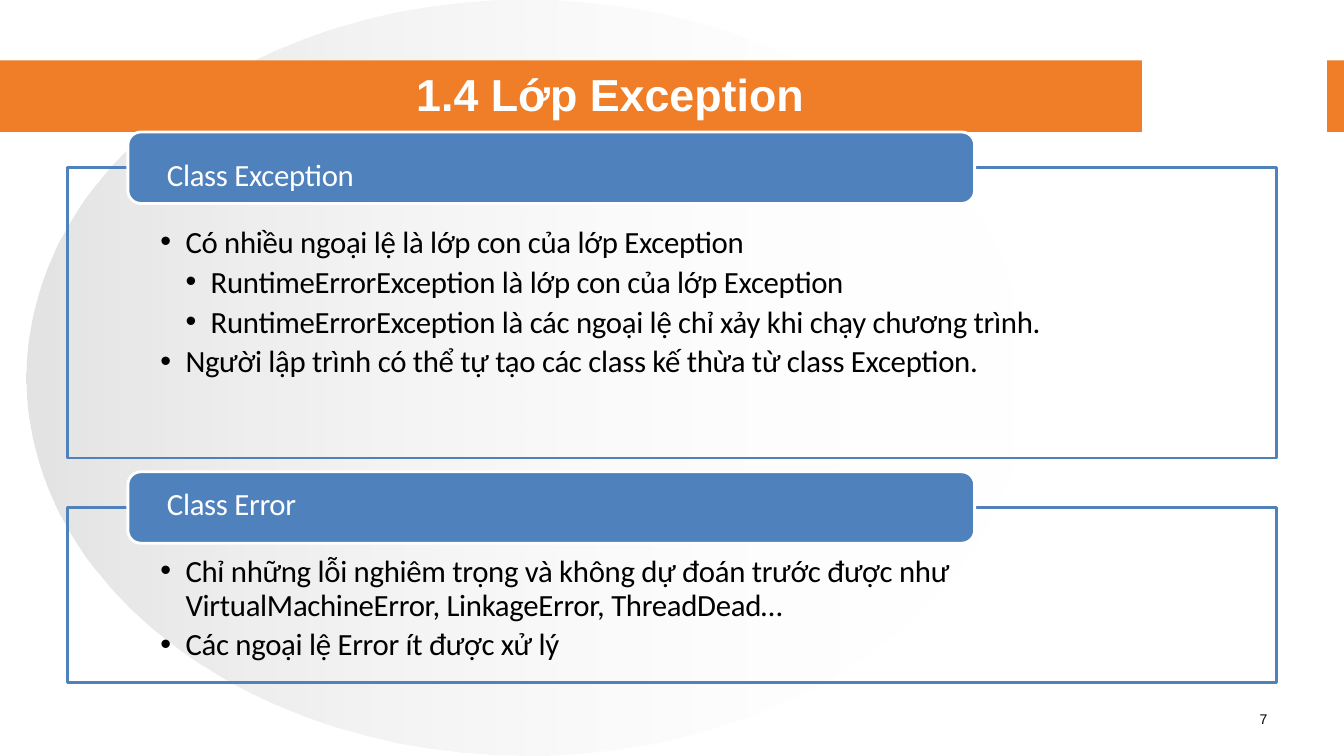
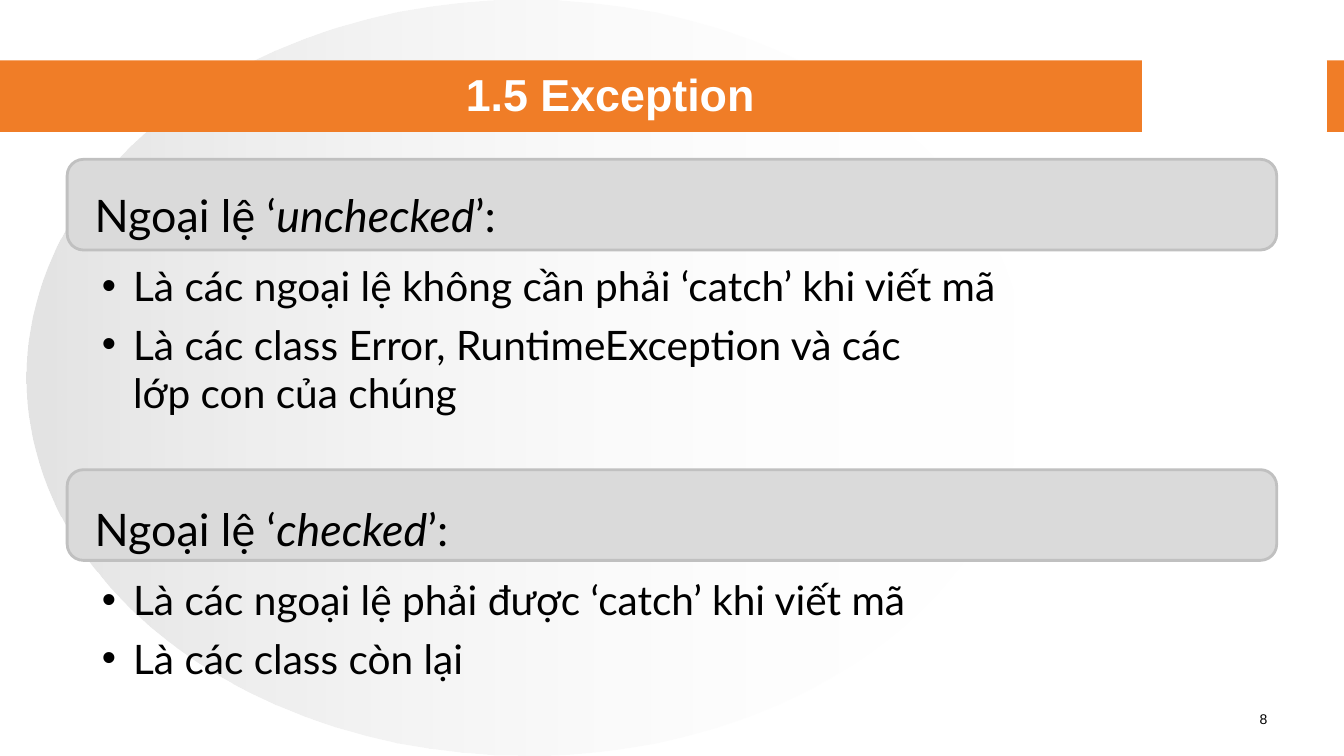
from lxml import etree
from pptx import Presentation
from pptx.dml.color import RGBColor
from pptx.enum.shapes import MSO_SHAPE
from pptx.enum.text import MSO_ANCHOR, MSO_AUTO_SIZE, PP_ALIGN
from pptx.oxml.ns import qn
from pptx.util import Pt

ORANGE = RGBColor(0xF0, 0x7D, 0x27)
BLUE = RGBColor(0x4F, 0x81, 0xBD)
SILVER = RGBColor(0xC0, 0xC0, 0xC0)
LIGHT_GRAY = RGBColor(0xDA, 0xDA, 0xDA)
WHITE = RGBColor(0xFF, 0xFF, 0xFF)
BLACK = RGBColor(0, 0, 0)
RECTANGLE, ROUNDED, OVAL = MSO_SHAPE.RECTANGLE, MSO_SHAPE.ROUNDED_RECTANGLE, MSO_SHAPE.OVAL
TOP, MIDDLE = MSO_ANCHOR.TOP, MSO_ANCHOR.MIDDLE
LEFT, CENTER = PP_ALIGN.LEFT, PP_ALIGN.CENTER
NO_AUTOSIZE = MSO_AUTO_SIZE.NONE
TWO_CONTENT = 3
FRAME_LEFT, FRAME_WIDTH = 48, 864

# Each section: heading top, heading text inset, frame height, list top, list height,
# heading runs (odd ones italic), list items as (level, text).
SLIDES = [
    {
        "title": "1.4 Lớp Exception", "number": "7", "font": "Calibri", "spacing": -0.2,
        "heading": {"left": 91.4, "width": 604.8, "height": 51, "inset": 25.2, "size": 22,
                    "fill": BLUE, "line": WHITE, "text": WHITE},
        "list": {"left": 113.8, "width": 716, "size": 22, "line": 24.2, "gap": 4.2,
                 "margins": (18.7, 36.7), "hanging": 18},
        "sections": [
            (94.3, 14.4, 207.4, 161.3, 130, ["Class Exception"], [
                (0, "Có nhiều ngoại lệ là lớp con của lớp Exception"),
                (1, "RuntimeErrorException là lớp con của lớp Exception"),
                (1, "RuntimeErrorException là các ngoại lệ chỉ xảy khi chạy chương trình."),
                (0, "Người lập trình có thể tự tạo các class kế thừa từ class Exception."),
            ]),
            (337, 6.3, 125.3, 396, 82, ["Class Error"], [
                (0, "Chỉ những lỗi nghiêm trọng và không dự đoán trước được như "
                    "VirtualMachineError, LinkageError, ThreadDead…"),
                (0, "Các ngoại lệ Error ít được xử lý"),
            ]),
        ],
    },
    {
        "title": "1.5 Exception", "number": "8", "font": "Lato", "spacing": 0,
        "heading": {"left": FRAME_LEFT, "width": FRAME_WIDTH, "height": 64.8, "inset": 16.2,
                    "size": 32, "fill": LIGHT_GRAY, "line": SILVER, "text": BLACK},
        "list": {"left": 63.4, "width": 816, "size": 29, "line": 34.8, "gap": 7,
                 "margins": (31.7,), "hanging": 22.3},
        "sections": [
            (113.8, 17.2, None, 186.5, 115, ["Ngoại lệ ‘", "unchecked", "’:"], [
                (0, "Là các ngoại lệ không cần phải ‘catch’ khi viết mã"),
                (0, "Là các class Error, RuntimeException và các\vlớp con của chúng"),
            ]),
            (335.5, 19.8, None, 410.8, 80, ["Ngoại lệ ‘", "checked", "’:"], [
                (0, "Là các ngoại lệ phải được ‘catch’ khi viết mã"),
                (0, "Là các class còn lại"),
            ]),
        ],
    },
]


def add_box(slide, preset, left, top, width, height, fill=None, line=None, line_width=2):
    shape = slide.shapes.add_shape(preset, Pt(left), Pt(top), Pt(width), Pt(height))
    shape.shadow.inherit = False
    if fill is None:
        shape.fill.background()
    else:
        shape.fill.solid()
        shape.fill.fore_color.rgb = fill
    if line is None:
        shape.line.fill.background()
    else:
        shape.line.color.rgb = line
        shape.line.width = Pt(line_width)
    return shape


def format_text(text_frame, font, size, color, spacing=0, align=LEFT, anchor=TOP, bold=None):
    text_frame.word_wrap = True
    text_frame.auto_size = NO_AUTOSIZE
    text_frame.vertical_anchor = anchor
    text_frame.margin_left = text_frame.margin_right = 0
    text_frame.margin_top = text_frame.margin_bottom = 0
    for paragraph in text_frame.paragraphs:
        paragraph.alignment = align
        for run in paragraph.runs:
            run.font.name = font
            run.font.size = Pt(size)
            run.font.bold = bold
            run.font.color.rgb = color
            if spacing:
                run.font._element.set("spc", str(round(spacing * 100)))


presentation = Presentation()
presentation.slide_width, presentation.slide_height = Pt(960), Pt(540)
layout = presentation.slide_layouts[TWO_CONTENT]
slides = [presentation.slides.add_slide(layout) for _ in SLIDES]

# Backdrop shared through the slide master
circle = add_box(slides[0], OVAL, 18.7, 0, 714.2, 540)
circle.fill.gradient()
circle.fill.gradient_angle = 0
for stop, color, alpha in zip(circle.fill.gradient_stops, (SILVER, WHITE), (44000, 0)):
    stop.color.rgb = color
    color_element = stop._gs.find(qn("a:srgbClr"))
    etree.SubElement(color_element, qn("a:alpha")).set("val", str(alpha))
band = add_box(slides[0], RECTANGLE, 0, 43.2, 960, 51, ORANGE)
band_gap = add_box(slides[0], RECTANGLE, 815.8, 43.2, 131.8, 51, WHITE, WHITE, 0.75)
master_tree = presentation.slide_master.shapes.element
for position, shape in enumerate((circle, band, band_gap)):
    shape.element.find(".//" + qn("p:cNvPr")).set("id", str(100 + position))
    master_tree.insert(2 + position, shape.element)

for slide, content in zip(slides, SLIDES):
    title = slide.shapes.title
    title.left, title.top, title.width, title.height = Pt(120), Pt(48), Pt(632), Pt(38)
    title.text_frame.text = content["title"]
    format_text(title.text_frame, "Arial", 32, WHITE, align=CENTER, anchor=MIDDLE, bold=True)

    heading_style, list_style = content["heading"], content["list"]
    font, spacing = content["font"], content["spacing"]
    for index, section in enumerate(content["sections"], start=1):
        top, text_inset, frame_height, list_top, list_height, heading_runs, items = section
        height = heading_style["height"]
        if frame_height:
            add_box(slide, RECTANGLE, FRAME_LEFT, top + height / 2, FRAME_WIDTH, frame_height,
                    line=BLUE)
        heading = add_box(slide, ROUNDED, heading_style["left"], top, heading_style["width"],
                          height, heading_style["fill"], heading_style["line"])
        heading.adjustments[0] = 0.18
        paragraph = heading.text_frame.paragraphs[0]
        for position, text in enumerate(heading_runs):
            run = paragraph.add_run()
            run.text = text
            run.font.italic = position % 2 == 1
        format_text(heading.text_frame, font, heading_style["size"], heading_style["text"], spacing)
        heading.text_frame.margin_left = Pt(heading_style["inset"])
        heading.text_frame.margin_top = Pt(text_inset)

        body = slide.placeholders[index]
        body.left, body.top = Pt(list_style["left"]), Pt(list_top)
        body.width, body.height = Pt(list_style["width"]), Pt(list_height)
        body.text_frame.text = "\n".join(text for _, text in items)
        for position, (level, _) in enumerate(items):
            paragraph = body.text_frame.paragraphs[position]
            paragraph.level = level
            properties = paragraph._p.get_or_add_pPr()
            properties.set("marL", str(Pt(list_style["margins"][level])))
            properties.set("indent", str(-Pt(list_style["hanging"])))
            etree.SubElement(properties, qn("a:buFont")).set("typeface", "Arial")
            etree.SubElement(properties, qn("a:buChar")).set("char", "•")
            paragraph.line_spacing = Pt(list_style["line"])
            paragraph.space_before = Pt(list_style["gap"] if position else 0)
        format_text(body.text_frame, font, list_style["size"], BLACK, spacing)
        slide.shapes.element.append(body.element)

    number = slide.shapes.add_textbox(Pt(890), Pt(507.6), Pt(25), Pt(21.6))
    number.text_frame.text = content["number"]
    format_text(number.text_frame, "Arial", 10, BLACK, align=CENTER)

presentation.save("out.pptx")
